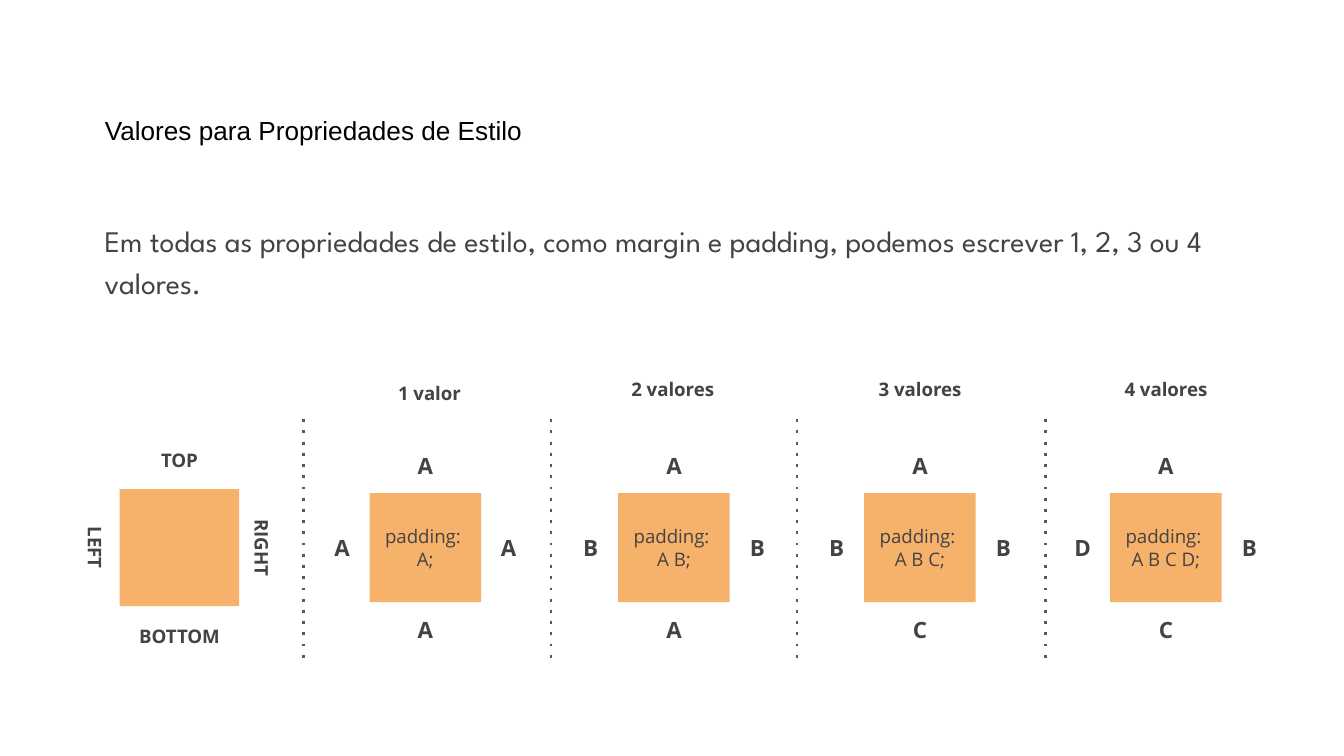
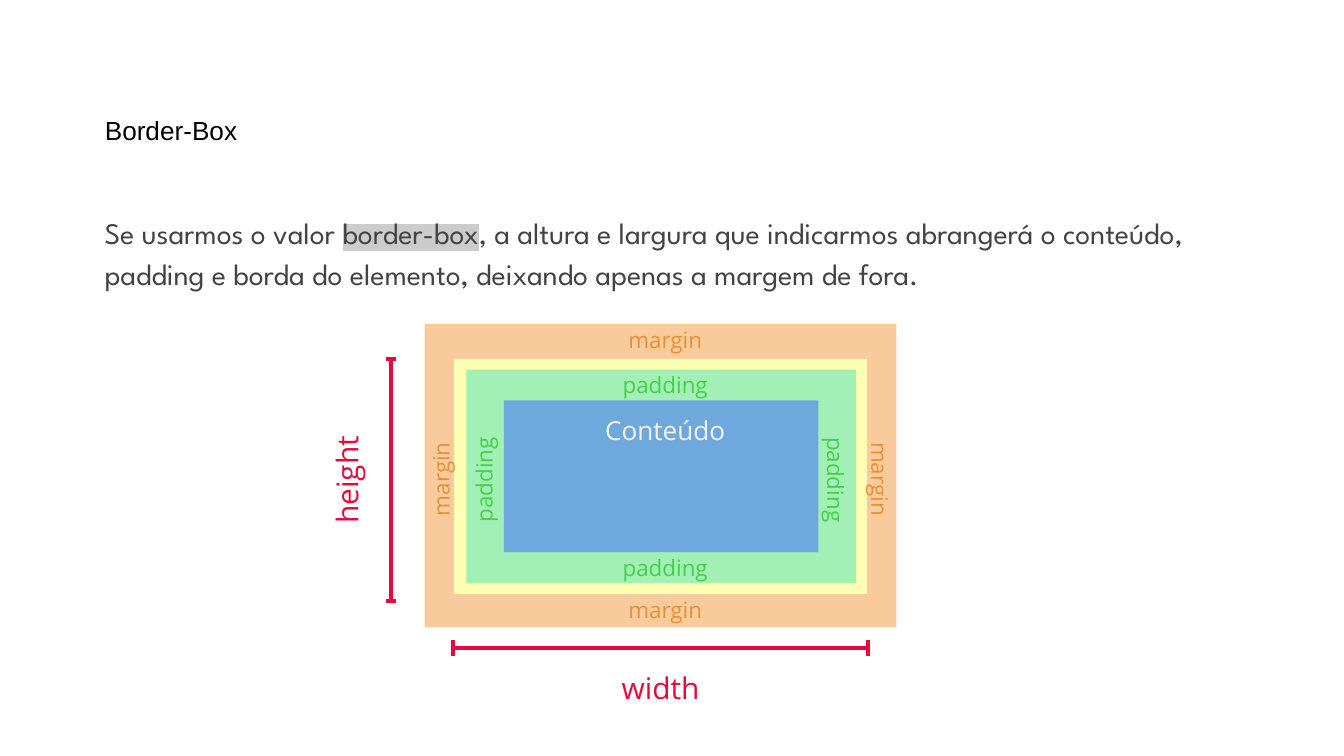
from lxml import etree
from pptx import Presentation
from pptx.dml.color import RGBColor
from pptx.enum.dml import MSO_LINE
from pptx.enum.shapes import MSO_CONNECTOR, MSO_SHAPE
from pptx.enum.text import MSO_ANCHOR, MSO_AUTO_SIZE, PP_ALIGN
from pptx.oxml.ns import qn
from pptx.util import Emu, Pt

PX = 9144  # 100 px to the inch
RECTANGLE = MSO_SHAPE.RECTANGLE
STRAIGHT = MSO_CONNECTOR.STRAIGHT
ROUND_DOT = MSO_LINE.ROUND_DOT
FIXED_SIZE = MSO_AUTO_SIZE.NONE
TOP, MIDDLE = MSO_ANCHOR.TOP, MSO_ANCHOR.MIDDLE
LEFT, CENTER = PP_ALIGN.LEFT, PP_ALIGN.CENTER
TITLE_ONLY = 5
TITLE_FONT, BODY_FONT, LABEL_FONT = "Arial", "League Spartan", "Open Sans"

COLORS = {
    "background": "FFFFFF",
    "title": "000000",
    "text": "434343",
    "highlight": "CCCCCC",
    "tile": "F6B26B",
    "divider": "595959",
    "margin": "F9CB9C",
    "margin text": "E69138",
    "border": "FDFFB2",
    "padding": "A3F0B7",
    "padding text": "44D049",
    "content": "6FA8DC",
    "content text": "F3F3F3",
    "measure": "E50A3B",
}


def color(name):
    return RGBColor.from_string(COLORS[name])


def px(*lengths):
    return [Emu(length * PX) for length in lengths]


def set_frame(frame, anchor, inset):
    frame.word_wrap = True
    frame.auto_size = FIXED_SIZE
    frame.vertical_anchor = anchor
    frame.margin_left = frame.margin_top = Emu(inset * PX)
    frame.margin_right = frame.margin_bottom = Emu(inset * PX)


def add_span(para, text, size, font, ink, bold=False, highlighted=False):
    span = para.add_run()
    span.text = text
    span.font.size = Pt(size)
    span.font.bold = bold
    span.font.color.rgb = color(ink)
    span.font.name = font
    if highlighted:
        mark = etree.Element(qn("a:highlight"))
        etree.SubElement(mark, qn("a:srgbClr"), val=COLORS["highlight"])
        span._r.rPr.find(qn("a:solidFill")).addnext(mark)


def add_slide(deck, title):
    page = deck.slides.add_slide(deck.slide_layouts[TITLE_ONLY])
    page.background.fill.solid()
    page.background.fill.fore_color.rgb = color("background")
    box = page.shapes.title
    box.left, box.top, box.width, box.height = px(68, 65, 851, 63)
    set_frame(box.text_frame, MIDDLE, 10)
    para = box.text_frame.paragraphs[0]
    para.alignment = LEFT
    add_span(para, title, 14, TITLE_FONT, "title")
    return page


def add_body(page, top, spans):
    """Spans are pairs of text and whether it is highlighted."""
    box = page.shapes.add_textbox(*px(68, top, 853, 121))
    set_frame(box.text_frame, TOP, 10)
    para = box.text_frame.paragraphs[0]
    para.alignment = LEFT
    para.line_spacing = 1.15
    for text, highlighted in spans:
        add_span(para, text, 16, BODY_FONT, "text", highlighted=highlighted)


def add_label(page, text, area, size, ink="text", bold=False, rotation=0,
              anchor=MIDDLE, inset=10):
    box = page.shapes.add_textbox(*px(*area))
    box.rotation = rotation
    set_frame(box.text_frame, anchor, inset)
    para = box.text_frame.paragraphs[0]
    para.alignment = CENTER
    add_span(para, text, size, LABEL_FONT, ink, bold)


def add_box(page, area, fill, lines=()):
    box = page.shapes.add_shape(RECTANGLE, *px(*area))
    box.shadow.inherit = False
    box.fill.solid()
    box.fill.fore_color.rgb = color(fill)
    box.line.fill.background()
    frame = box.text_frame
    set_frame(frame, MIDDLE, 10)
    for index, text in enumerate(lines):
        para = frame.add_paragraph() if index else frame.paragraphs[0]
        para.alignment = CENTER
        add_span(para, text, 10, LABEL_FONT, "text")


def add_line(shapes, ends, ink, width, dotted=False):
    line = shapes.add_connector(STRAIGHT, *px(*ends))
    line.line.color.rgb = color(ink)
    line.line.width = Pt(width)
    if dotted:
        line.line.dash_style = ROUND_DOT
        next(line._element.iter(qn("a:prstDash"))).set("val", "dot")
    etree.SubElement(line._element.spPr, qn("a:effectLst"))


def add_measure(page, segments):
    group = page.shapes.add_group_shape()
    for ends in segments:
        add_line(group.shapes, ends, "measure", 2.25)


def add_padding_example(page, left, values, sides):
    """A tile with one letter on each side: top, left, bottom, right."""
    add_box(page, (left, 367, 83, 81), "tile", ("padding: ", values + ";"))
    places = ((21, 326), (-41, 387), (21, 448), (83, 387))
    for letter, (shift, top) in zip(sides, places):
        add_label(page, letter, (left + shift, top, 41, 41), 12, bold=True)


def build_values_slide(deck):
    page = add_slide(deck, "Valores para Propriedades de Estilo")
    add_body(page, 152, [
        ("Em todas as propriedades de estilo, como margin e padding, "
         "podemos escrever 1, 2, 3 ou 4 valores.", False)])

    # Key to the four sides
    add_box(page, (89, 364, 89, 87), "tile")
    for text, area, rotation in (
            ("TOP", (89, 320, 89, 45), 0),
            ("LEFT", (37, 385, 68, 45), 90),
            ("BOTTOM", (89, 451, 89, 45), 0),
            ("RIGHT", (161, 385, 68, 45), 90)):
        add_label(page, text, area, 10, bold=True, rotation=rotation, inset=0)

    # One column for each number of values: divider, tile and heading
    for divider, left, heading, place, values, sides in (
            (226, 275, "1 valor", (275, 270), "A", "AAAA"),
            (410, 460, "2 valores", (456, 267), "A B", "ABAB"),
            (593, 643, "3 valores", (640, 267), "A B C", "ABCB"),
            (778, 826, "4 valores", (823, 267), "A B C D", "ADCB")):
        add_padding_example(page, left, values, sides)
        add_line(page.shapes, (divider, 312, divider, 493), "divider", 1.5, True)
        add_label(page, heading, (*place, 89, 45), 10, bold=True, inset=0)


def build_border_box_slide(deck):
    page = add_slide(deck, "Border-Box")
    add_body(page, 146, [
        ("Se usarmos o valor ", False),
        ("border-box", True),
        (", a altura e largura que indicarmos abrangerá o conteúdo, padding "
         "e borda do elemento, deixando apenas a margem de fora.", False)])

    # Nested layers, from the outside in
    for fill, area in (
            ("margin", (316, 241, 351, 226)),
            ("border", (338, 267, 307, 175)),
            ("padding", (347, 275, 290, 159)),
            ("content", (375, 298, 234, 113))):
        add_box(page, area, fill)
    add_label(page, "Conteúdo", (395, 298, 200, 34), 14, "content text",
              anchor=TOP)

    # Layer names on the four sides
    for name, height, places in (
            ("padding", 28, ((430, 275, 0), (430, 411, 0),
                             (295, 343, 270), (557, 343, 90))),
            ("margin", 23, ((430, 241, 0), (430, 442, 0),
                            (263, 345, 270), (590, 345, 90)))):
        for left, top, rotation in places:
            area = (left, top, 130, height if rotation else 23)
            add_label(page, name, area, 12, name + " text", rotation=rotation)

    # Width and height measures
    add_measure(page, ((337, 488, 337, 476), (338, 482, 646, 482),
                       (646, 488, 646, 476)))
    add_label(page, "width", (374, 488, 235, 34), 16, "measure", anchor=TOP)
    add_measure(page, ((287, 267, 295, 267), (291, 268, 291, 447),
                       (287, 447, 295, 447)))
    add_label(page, "height", (134, 340, 235, 34), 16, "measure",
              rotation=270, anchor=TOP)


def main():
    deck = Presentation()
    deck.slide_width = Emu(1000 * PX)
    deck.slide_height = Emu(deck.slide_width * 9 // 16)
    build_values_slide(deck)
    build_border_box_slide(deck)
    deck.save("out.pptx")


if __name__ == "__main__":
    main()
